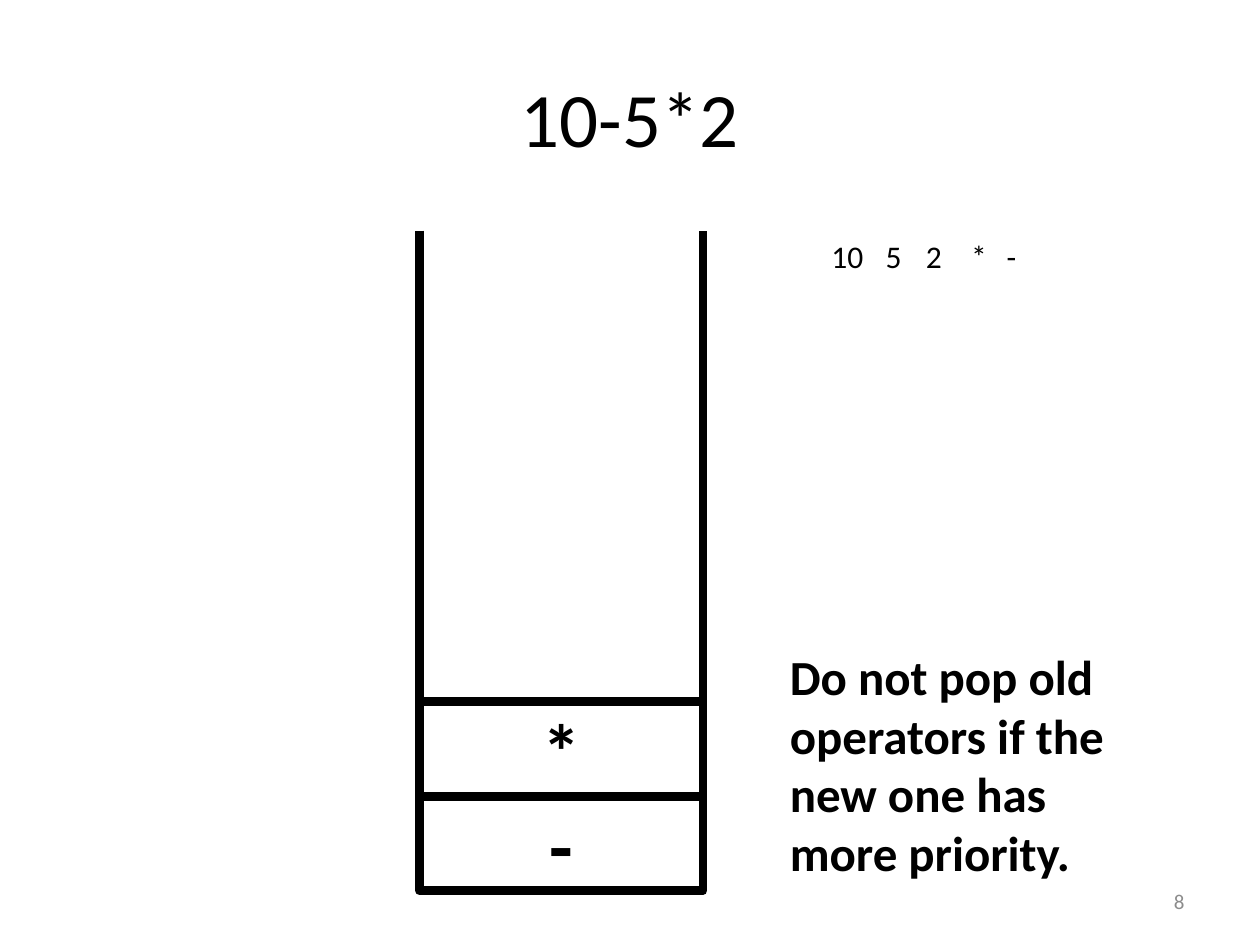
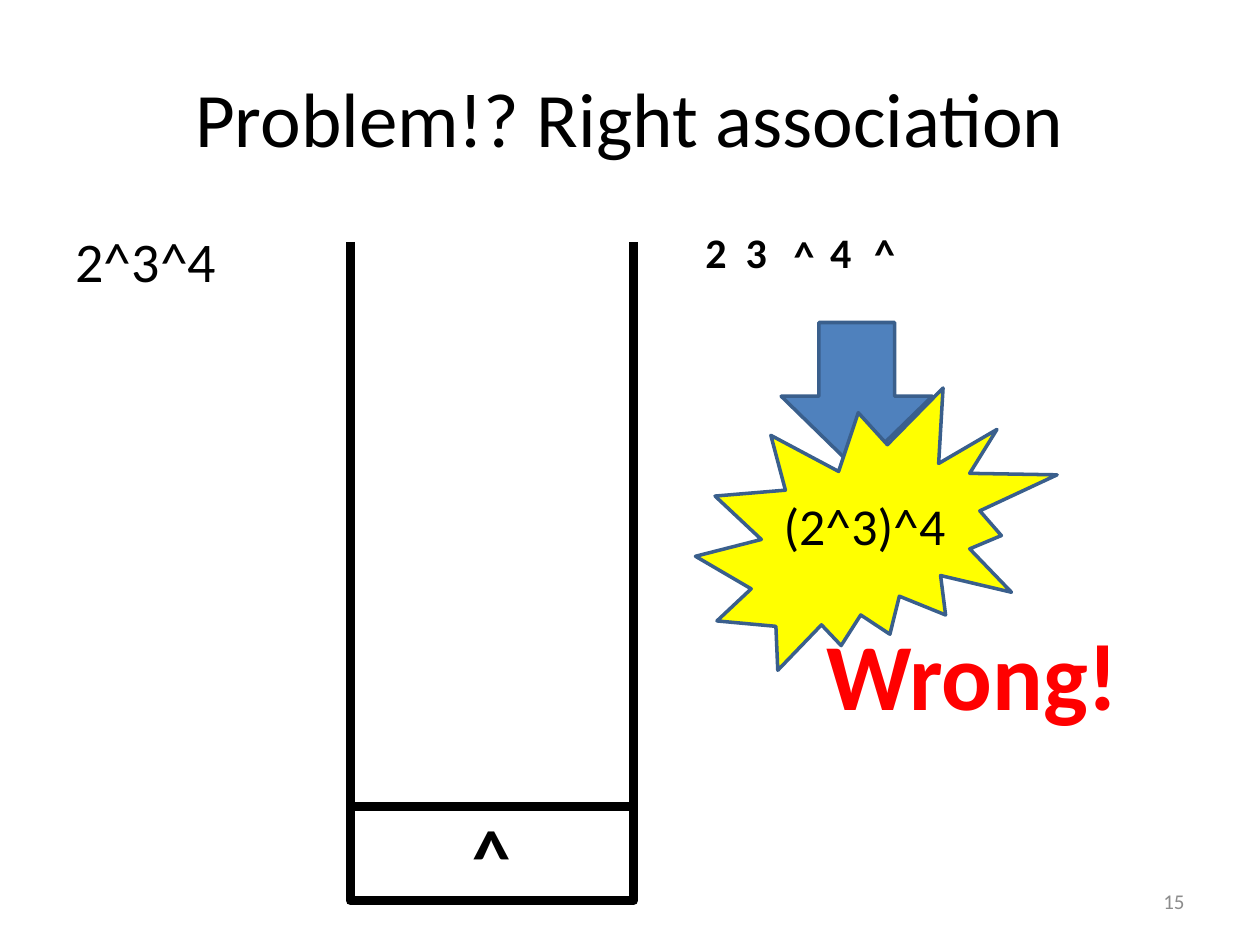
from pptx import Presentation
from pptx.dml.color import RGBColor
from pptx.enum.shapes import MSO_CONNECTOR, MSO_SHAPE
from pptx.enum.text import MSO_ANCHOR as ANCHOR, PP_ALIGN as ALIGN
from pptx.oxml.ns import qn
from pptx.util import Inches, Pt
from lxml import etree

COLORS = {
    "text": "000000",
    "number": "8C8C8C",
    "arrow": "4F81BD",
    "outline": "3A5F8C",
    "burst": "FFFF00",
    "wrong": "FF0000",
}
FONT = "Calibri"
STACK_WIDTH = 2.25
CELL_HEIGHT = 0.75
STACK_LINE = Pt(5)


def add_text(slide, text, left, top, width, height, size=18, bold=False,
             color="text", align=ALIGN.LEFT, anchor=ANCHOR.TOP, shape=None):
    """Write text into the given shape, or into a new text box."""
    if shape is None:
        shape = slide.shapes.add_textbox(Inches(left), Inches(top), Inches(width), Inches(height))
    frame = shape.text_frame
    frame.word_wrap = True
    frame.vertical_anchor = anchor
    paragraph = frame.paragraphs[0]
    paragraph.text = text
    paragraph.alignment = align
    paragraph.font.name = FONT
    paragraph.font.size = Pt(size)
    paragraph.font.bold = bold
    paragraph.font.color.rgb = RGBColor.from_string(COLORS[color])


def add_stack(slide, left, top, bottom, operators):
    """Draw an open-topped stack holding the operators, lowest first."""
    right = left + STACK_WIDTH
    for x1, y1, x2, y2 in [(left, top, left, bottom),
                           (right, bottom, right, top),
                           (right, bottom, left, bottom)]:
        wall = slide.shapes.add_connector(
            MSO_CONNECTOR.STRAIGHT, Inches(x1), Inches(y1), Inches(x2), Inches(y2))
        wall.line.color.rgb = RGBColor.from_string(COLORS["text"])
        wall.line.width = STACK_LINE
        etree.SubElement(wall._element.spPr, qn("a:effectLst"))
    for level, operator in enumerate(operators, start=1):
        box = (left, bottom - level * CELL_HEIGHT, STACK_WIDTH, CELL_HEIGHT)
        cell = slide.shapes.add_shape(MSO_SHAPE.RECTANGLE, *map(Inches, box))
        cell.shadow.inherit = False
        cell.fill.background()
        cell.line.color.rgb = RGBColor.from_string(COLORS["text"])
        cell.line.width = STACK_LINE
        add_text(slide, operator, *box, size=44, bold=True,
                 align=ALIGN.CENTER, anchor=ANCHOR.MIDDLE, shape=cell)


presentation = Presentation()
presentation.slide_width = Inches(10)
presentation.slide_height = Inches(7.5)

# Title and slide number shared by both slides
slides = []
for title, number in [("10-5*2", "8"), ("Problem!? Right association", "15")]:
    slide = presentation.slides.add_slide(presentation.slide_layouts[6])
    add_text(slide, title, 0.5, 0.3, 9, 1.25, size=44,
             align=ALIGN.CENTER, anchor=ANCHOR.MIDDLE)
    add_text(slide, number, 7.17, 6.95, 2.33, 0.4, size=12, color="number",
             align=ALIGN.RIGHT, anchor=ANCHOR.MIDDLE)
    slides.append(slide)
priority_slide, association_slide = slides

# Operator priority
add_stack(priority_slide, 3.33, 1.83, 7.07, ["-", "*"])
for token, left in [("10", 6.5), ("5", 6.93), ("2", 7.25), ("*", 7.61), ("-", 7.89)]:
    add_text(priority_slide, token, left, 1.83, 0.5, 0.4)
add_text(priority_slide, "Do not pop old operators if the new one has more priority.",
         6.17, 5.08, 3.17, 1.99, size=28, bold=True)

# Right association
add_text(association_slide, "2^3^4", 0.5, 1.75, 1.58, 0.67, size=32)
add_stack(association_slide, 2.78, 1.92, 7.15, ["^"])
for token, left, top in [("2", 5.5, 1.75), ("3", 5.82, 1.75), ("^", 6.2, 1.77),
                         ("4", 6.49, 1.75), ("^", 6.84, 1.76)]:
    add_text(association_slide, token, left, top, 0.64, 0.5, size=24, bold=True)

for preset, box, fill in [(MSO_SHAPE.DOWN_ARROW, (6.2, 2.56, 1.2, 1.17), "arrow"),
                          (MSO_SHAPE.EXPLOSION2, (5.52, 3.08, 2.87, 2.24), "burst")]:
    shape = association_slide.shapes.add_shape(preset, *map(Inches, box))
    shape.shadow.inherit = False
    shape.fill.solid()
    shape.fill.fore_color.rgb = RGBColor.from_string(COLORS[fill])
    shape.line.color.rgb = RGBColor.from_string(COLORS["outline"])
    shape.line.width = Pt(2)

add_text(association_slide, "(2^3)^4", 6.12, 3.87, 1.58, 0.67, size=29.6)
add_text(association_slide, "Wrong!", 6.46, 4.84, 3.04, 1.01, size=54, bold=True, color="wrong")

presentation.save("out.pptx")
